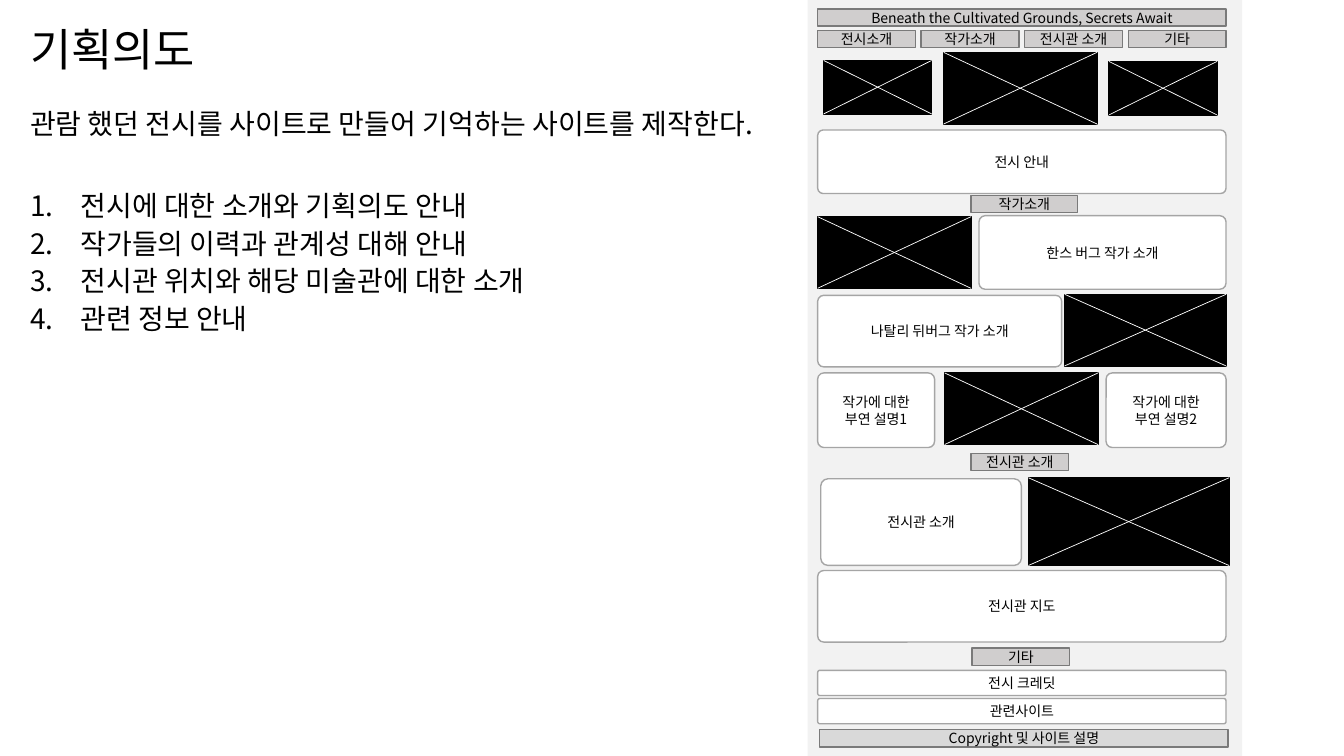
from pptx import Presentation
from pptx.dml.color import RGBColor
from pptx.enum.shapes import MSO_CONNECTOR, MSO_SHAPE
from pptx.enum.text import MSO_ANCHOR, PP_ALIGN
from pptx.oxml.ns import qn
from pptx.util import Inches, Pt
from lxml.etree import SubElement

FONT = "Noto Sans CJK KR"
TITLE = "기획의도"
INTRO = "관람 했던 전시를 사이트로 만들어 기억하는 사이트를 제작한다."
GOALS = [
    "전시에 대한 소개와 기획의도 안내",
    "작가들의 이력과 관계성 대해 안내",
    "전시관 위치와 해당 미술관에 대한 소개",
    "관련 정보 안내",
]
MENU = ["전시소개", "작가소개", "전시관 소개", "기타"]

# Wireframe column: left edge, full width, bar height, tab width
LEFT, FULL, BAR, TAB = 8.11, 4.05, 0.17, 0.97
STEP = (FULL - TAB) / (len(MENU) - 1)

# Offsets count from LEFT. Bars: offset, top, width, text, fill
BARS = [
    (0.02, 7.24, FULL, "Copyright 및 사이트 설명", "D9D9D9"),
    (0, 0.09, FULL, "Beneath the Cultivated Grounds, Secrets Await", "D0CECE"),
    (1.52, 1.94, 1.06, "작가소개", "D0CECE"),
    (1.52, 4.5, TAB, "전시관 소개", "D0CECE"),
    (1.53, 6.43, TAB, "기타", "D0CECE"),
] + [(i * STEP, 0.3, TAB, name, "D0CECE") for i, name in enumerate(MENU)]

# Cards: offset, top, width, height, text
CARDS = [
    (0, 1.29, FULL, 0.63, "전시 안내"),
    (1.6, 2.14, 2.45, 0.73, "한스 버그 작가 소개"),
    (0, 2.93, 2.42, 0.71, "나탈리 뒤버그 작가 소개"),
    (0, 3.7, 1.16, 0.74, "작가에 대한\n부연 설명1"),
    (2.86, 3.7, 1.19, 0.74, "작가에 대한\n부연 설명2"),
    (0.03, 4.75, 1.99, 0.86, "전시관 소개"),
    (0, 5.66, FULL, 0.71, "전시관 지도"),
    (0, 6.65, FULL, 0.25, "전시 크레딧"),
    (0, 6.93, FULL, 0.25, "관련사이트"),
]

# Photo frames: offset, top, width, height
PHOTOS = [
    (1.25, 0.52, 1.52, 0.71),
    (0.06, 0.6, 1.07, 0.53),
    (2.89, 0.61, 1.07, 0.53),
    (0, 2.15, 1.52, 0.71),
    (2.45, 2.92, 1.6, 0.71),
    (1.26, 3.7, 1.52, 0.71),
    (2.09, 4.74, 1.99, 0.87),
]


def color(code):
    return RGBColor.from_string(code)


def style(para, size, align):
    para.alignment = align
    for run in para.runs:
        run.font.size = Pt(size)
        run.font.name = FONT
        run.font.color.rgb = color("000000")
        SubElement(run.font._element, qn("a:ea")).set("typeface", FONT)


def add_box(slide, kind, left, top, width, height, fill, line=None, text=""):
    box = slide.shapes.add_shape(
        kind, Inches(left), Inches(top), Inches(width), Inches(height))
    box.shadow.inherit = False
    box.fill.solid()
    box.fill.fore_color.rgb = color(fill)
    if line:
        box.line.color.rgb = color(line)
        box.line.width = Pt(1)
    else:
        box.line.fill.background()
    if kind == MSO_SHAPE.ROUNDED_RECTANGLE:
        box.adjustments[0] = 0.084
    if text:
        frame = box.text_frame
        frame.text = text
        frame.word_wrap = True
        frame.vertical_anchor = MSO_ANCHOR.MIDDLE
        frame.margin_top = frame.margin_bottom = 0
        frame.margin_left = frame.margin_right = 0
        for para in frame.paragraphs:
            style(para, 10, PP_ALIGN.CENTER)


def add_photo(slide, left, top, width, height):
    """Draw a black frame crossed by two white diagonals."""
    add_box(slide, MSO_SHAPE.RECTANGLE, left, top, width, height, "000000", "000000")
    low = top + height
    for start, end in ((top, low), (low, top)):
        line = slide.shapes.add_connector(
            MSO_CONNECTOR.STRAIGHT, Inches(left), Inches(start),
            Inches(left + width), Inches(end))
        line.line.color.rgb = color("FFFFFF")
        line.line.width = Pt(0.5)
        SubElement(line._element.spPr, qn("a:effectLst"))


def add_title(slide):
    title = slide.shapes.title
    title.left, title.top = Inches(0.2), Inches(0.2)
    title.width, title.height = Inches(10), Inches(0.64)
    frame = title.text_frame
    frame.text = TITLE
    frame.vertical_anchor = MSO_ANCHOR.MIDDLE
    para = frame.paragraphs[0]
    para.line_spacing = 0.9
    style(para, 32, PP_ALIGN.LEFT)


def add_goals(slide):
    box = slide.shapes.add_textbox(
        Inches(0.2), Inches(1.09), Inches(7.91), Inches(3.74))
    frame = box.text_frame
    frame.word_wrap = True
    frame.margin_top = 0
    frame.text = "\n".join([INTRO] + GOALS)
    for i, para in enumerate(frame.paragraphs):
        style(para, 20, PP_ALIGN.LEFT)
        para.line_spacing = 0.9
        para.space_before = Pt(37 if i == 1 else 5.5)
        if i:
            props = para._p.get_or_add_pPr()
            props.set("marL", str(Inches(0.5)))
            props.set("indent", str(-Inches(0.5)))
            SubElement(props, qn("a:buFont")).set("typeface", FONT)
            SubElement(props, qn("a:buAutoNum")).set("type", "arabicPeriod")


def main():
    deck = Presentation()
    deck.slide_width, deck.slide_height = Inches(13.33), Inches(7.5)
    slide = deck.slides.add_slide(deck.slide_layouts[5])
    add_title(slide)
    add_box(slide, MSO_SHAPE.RECTANGLE, 8.01, 0, 4.31, 7.5, "F2F2F2")
    add_goals(slide)
    for x, top, width, text, fill in BARS:
        add_box(slide, MSO_SHAPE.RECTANGLE, LEFT + x, top, width, BAR,
                fill, "7A7A7A", text)
    for x, top, width, height, text in CARDS:
        add_box(slide, MSO_SHAPE.ROUNDED_RECTANGLE, LEFT + x, top, width, height,
                "FFFFFF", "A5A5A5", text)
    for x, top, width, height in PHOTOS:
        add_photo(slide, LEFT + x, top, width, height)
    deck.save("out.pptx")


if __name__ == "__main__":
    main()
